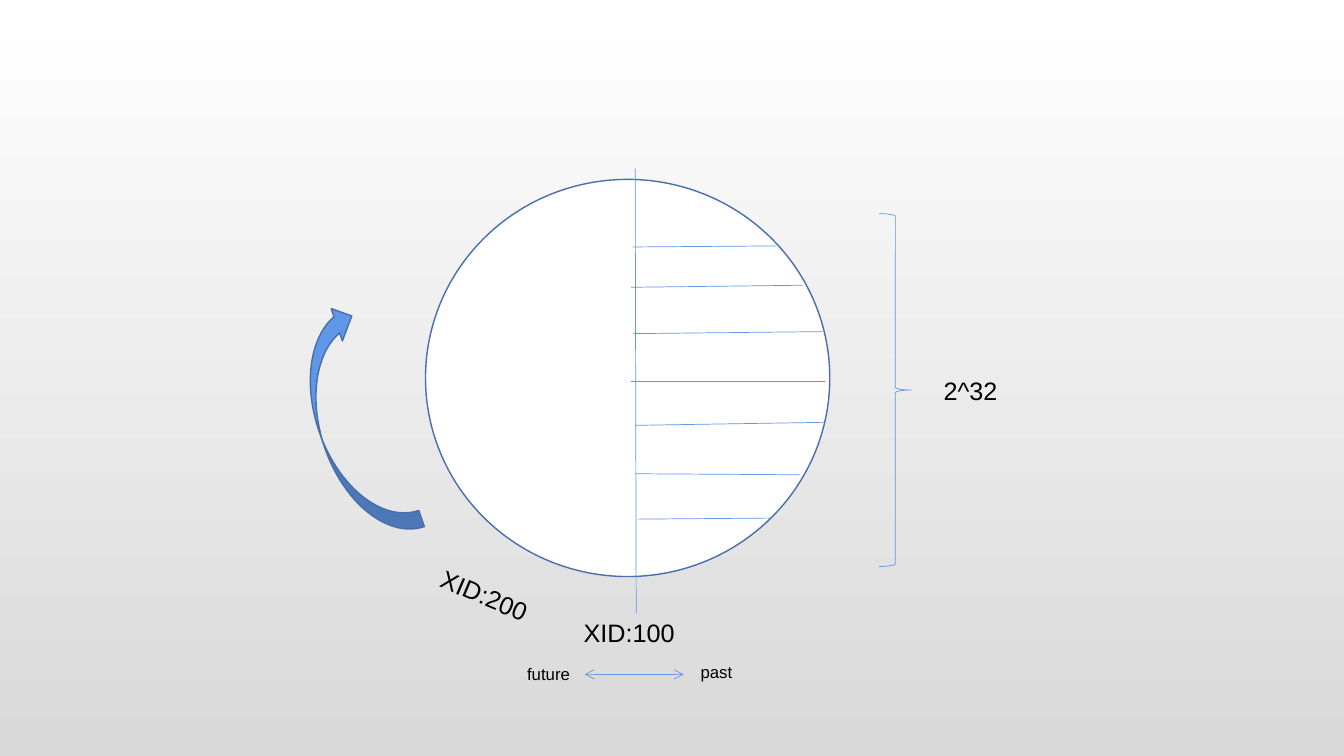
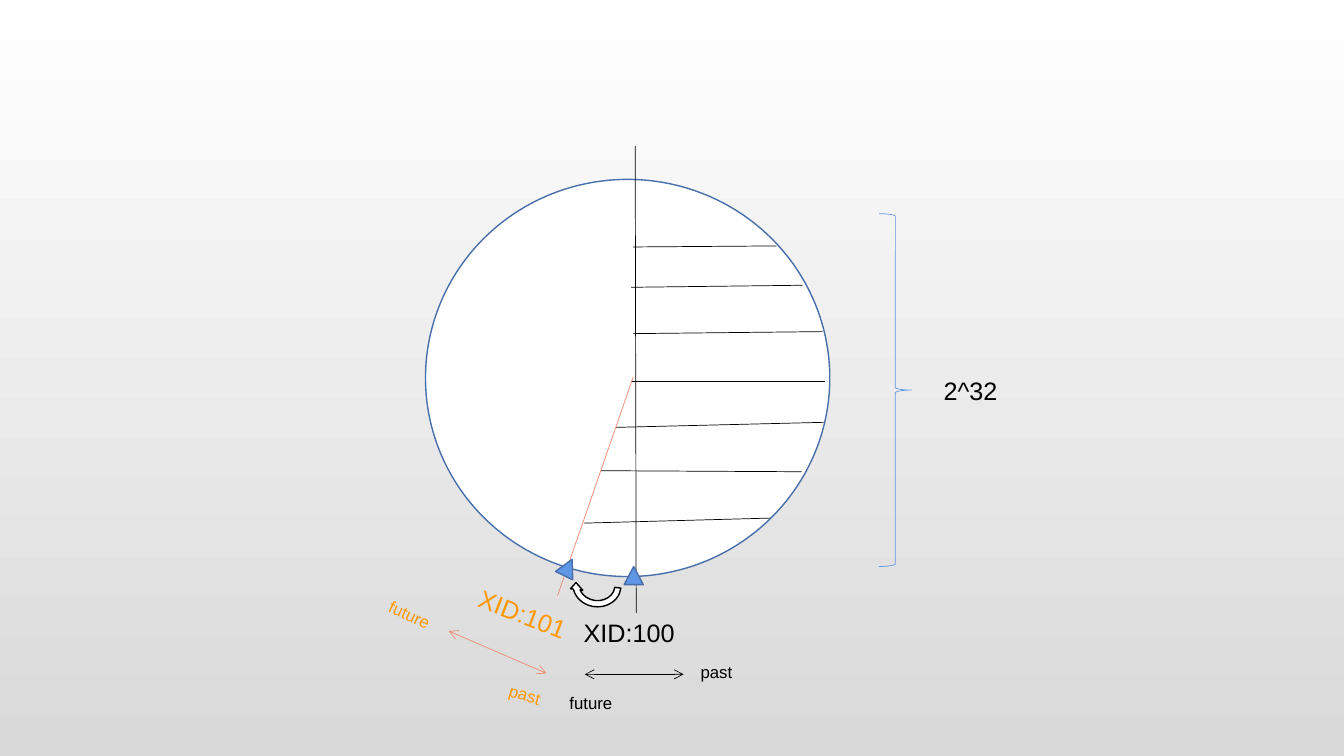
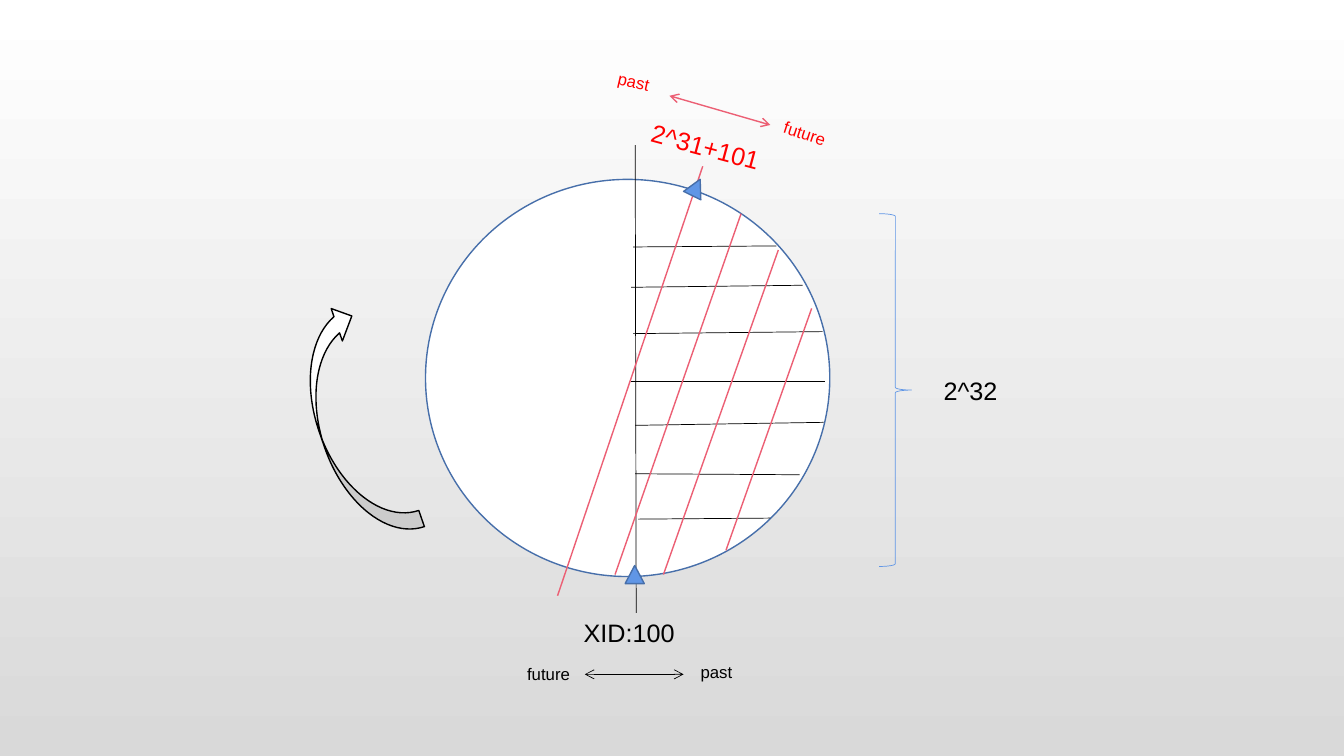
from dataclasses import dataclass

from lxml import etree
from pptx import Presentation
from pptx import util as u
from pptx.dml.color import RGBColor
from pptx.enum import shapes, text
from pptx.oxml import ns

# Colours and type
WHITE = RGBColor(0xFF, 0xFF, 0xFF)
BLACK = RGBColor(0x00, 0x00, 0x00)
GREY = RGBColor(0xD9, 0xD9, 0xD9)
BLUE = RGBColor(0x60, 0x96, 0xE6)
DARK_BLUE = RGBColor(0x47, 0x6F, 0xAA)
CORAL = RGBColor(0xF1, 0x88, 0x70)
ORANGE = RGBColor(0xFF, 0x98, 0x00)
ROSE = RGBColor(0xEC, 0x5F, 0x74)
RED = RGBColor(0xFF, 0x00, 0x00)
FONT = "Arial"
THIN, MEDIUM = 0.5, 1
LARGE, SMALL = 18, 12

# The slide is a grid of 75 rows; columns are as wide as rows are high
SLIDE_WIDTH, SLIDE_HEIGHT = u.Inches(13.33), u.Inches(7.5)
CELL = SLIDE_HEIGHT / 75


@dataclass
class Box:
    """A region in grid cells; its parts are placed from its top left."""
    left: float
    top: float
    width: float
    height: float

    def point(self, x, y):
        return round((self.left + x) * CELL), round((self.top + y) * CELL)


DIAL = Box(42.2, 17.8, 40.1, 39.4)
CAPACITY = Box(87.2, 21.2, 17.7, 35)
ROTATION = Box(31.6, 30.2, 6.8, 23.8)
CURRENT = Box(51.3, 60.8, 23, 10.4)
NEXT = Box(37.5, 59.1, 21.1, 11.4)
WRAPPED = Box(60.3, 6.7, 23.1, 9.9)

# Chords of the past half: start x, start y, end x, end y inside the dial
UPPER_CHORDS = [(20.6, 6.7, 34.8, 6.6), (20.4, 10.7, 37.4, 10.5),
                (20.6, 15.3, 39.4, 15.1), (20.4, 20, 39.6, 20)]
LOWER_CHORDS = [(20.8, 24.4, 39.5, 24.1), (20.8, 29.2, 37.1, 29.3),
                (21.1, 33.7, 34.2, 33.6)]
WIDER_CHORDS = [(18.9, 24.6, 39.5, 24.1), (17.4, 28.9, 37.3, 29),
                (15.7, 34.1, 34.2, 33.6)]
WRAPPED_CHORDS = [(27.5, -1.3, 13.1, 41.3), (18.8, 39.2, 31.3, 3.4),
                  (23.6, 39.2, 35, 7), (29.8, 36.8, 38.3, 12.8)]


# Basic parts
def add_figure(slide, box, kind, x, y, width, height, fill, line,
               weight=MEDIUM, rotation=0):
    shape = slide.shapes.add_shape(kind, *box.point(x, y),
                                   round(width * CELL), round(height * CELL))
    shape.shadow.inherit = False
    shape.rotation = rotation
    if fill is None:
        shape.fill.background()
    else:
        shape.fill.solid()
        shape.fill.fore_color.rgb = fill
    shape.line.color.rgb = line
    shape.line.width = u.Pt(weight)


def add_line(slide, box, ends, colour, weight=THIN, arrows=False):
    x1, y1, x2, y2 = ends
    connector = slide.shapes.add_connector(
        shapes.MSO_CONNECTOR.STRAIGHT, *box.point(x1, y1), *box.point(x2, y2))
    connector.line.color.rgb = colour
    connector.line.width = u.Pt(weight)
    if arrows:
        outline = connector.line._get_or_add_ln()
        for end in ("a:headEnd", "a:tailEnd"):
            etree.SubElement(outline, ns.qn(end), type="arrow")
    etree.SubElement(connector._element.spPr, ns.qn("a:effectLst"))


def add_label(slide, box, words, place, width, size, colour):
    x, y, rotation = place
    height = 4 if size == LARGE else 3
    label = slide.shapes.add_textbox(*box.point(x, y), round(width * CELL),
                                     round(height * CELL))
    label.rotation = rotation
    frame = label.text_frame
    frame.word_wrap = True
    frame.auto_size = text.MSO_AUTO_SIZE.SHAPE_TO_FIT_TEXT
    paragraph = frame.paragraphs[0]
    paragraph.text = words
    paragraph.font.name = FONT
    paragraph.font.size = u.Pt(size)
    paragraph.font.color.rgb = colour


# Regions
def add_dial(slide, box, colour, axis_top, chords):
    add_figure(slide, box, shapes.MSO_SHAPE.OVAL, 0, 0, box.width, box.height,
               WHITE, DARK_BLUE)
    for ends in [(20.8, axis_top, 20.9, 43)] + chords:
        add_line(slide, box, ends, colour)


def add_pointer(slide, box, x, y, rotation=0):
    add_figure(slide, box, shapes.MSO_SHAPE.ISOSCELES_TRIANGLE, x, y, 1.9, 1.8,
               BLUE, DARK_BLUE, rotation=rotation)


def add_capacity(slide, box):
    add_figure(slide, box, shapes.MSO_SHAPE.RIGHT_BRACE, 0, 0, 3.2, box.height,
               None, BLUE, THIN)
    add_label(slide, box, "2^32", (5.4, 15.5, 0), 12.3, LARGE, BLACK)


def add_rotation(slide, box, fill, line):
    add_figure(slide, box, shapes.MSO_SHAPE.CURVED_LEFT_ARROW, 0, 0, box.width,
               box.height, fill, line, rotation=161)


def add_marker(slide, box, xid, xid_place, arrow, past, future, colour,
               arrow_colour, weight=THIN, xid_width=12.3):
    """An XID with the arrow that parts its past from its future."""
    add_label(slide, box, xid, xid_place, xid_width, LARGE, colour)
    add_line(slide, box, arrow, arrow_colour, weight, arrows=True)
    add_label(slide, box, "past", past, 5.8, SMALL, colour)
    add_label(slide, box, "future", future, 6.7, SMALL, colour)


def add_base(presentation, colour, axis_top, chords, future=(0, 4.6, 0)):
    """A slide with the dial, its capacity and the current XID."""
    slide = presentation.slides.add_slide(presentation.slide_layouts[6])
    add_dial(slide, DIAL, colour, axis_top, chords)
    add_capacity(slide, CAPACITY)
    add_marker(slide, CURRENT, "XID:100", (5.6, 0, 0), (6.7, 6.1, 16.5, 6.1),
               (17.2, 4.4, 0), future, BLACK, colour)
    return slide


# Slides
def build_half_slide(presentation):
    slide = add_base(presentation, BLUE, -1.1, UPPER_CHORDS + LOWER_CHORDS)
    add_rotation(slide, ROTATION, BLUE, DARK_BLUE)
    add_label(slide, DIAL, "XID:200", (0.3, 39.5, 23), 12.3, LARGE, BLACK)


def build_next_slide(presentation):
    slide = add_base(presentation, BLACK, -3.3, UPPER_CHORDS + WIDER_CHORDS,
                     future=(4.2, 7.4, 0))
    add_line(slide, DIAL, (20.6, 19.6, 13.1, 41.3), CORAL)
    add_figure(slide, DIAL, shapes.MSO_SHAPE.CIRCULAR_ARROW, 14.3, 37.8,
               5.4, 4.9, WHITE, BLACK, rotation=187)
    add_marker(slide, NEXT, "XID:101", (8.8, 0, 21), (7, 3.5, 16.7, 7.7),
               (12, 8.4, 17), (0, 0.5, 25), ORANGE, CORAL)
    add_pointer(slide, DIAL, 19.7, 38.4)
    add_pointer(slide, DIAL, 13.2, 37.6, 26)


def build_wrapped_slide(presentation):
    slide = add_base(presentation, BLACK, -3.4, UPPER_CHORDS + LOWER_CHORDS)
    for ends in WRAPPED_CHORDS:
        add_line(slide, DIAL, ends, ROSE, MEDIUM)
    add_marker(slide, WRAPPED, "2^31+101", (3.2, 5.9, 15),
               (6.1, 2.8, 16.1, 5.7), (0, 0, 13), (16.4, 5.1, 18), RED, ROSE,
               MEDIUM, xid_width=13.5)
    add_rotation(slide, ROTATION, WHITE, BLACK)
    add_pointer(slide, DIAL, 25.9, -0.1, 26)
    add_pointer(slide, DIAL, 19.8, 38.3)


def set_background(master):
    fill = master.background.fill
    fill.gradient()
    fill.gradient_angle = 270
    for stop, colour in zip(fill.gradient_stops, (WHITE, GREY)):
        stop.color.rgb = colour


def main():
    presentation = Presentation()
    presentation.slide_width = SLIDE_WIDTH
    presentation.slide_height = SLIDE_HEIGHT
    set_background(presentation.slide_master)
    build_half_slide(presentation)
    build_next_slide(presentation)
    build_wrapped_slide(presentation)
    presentation.save("out.pptx")


if __name__ == "__main__":
    main()
